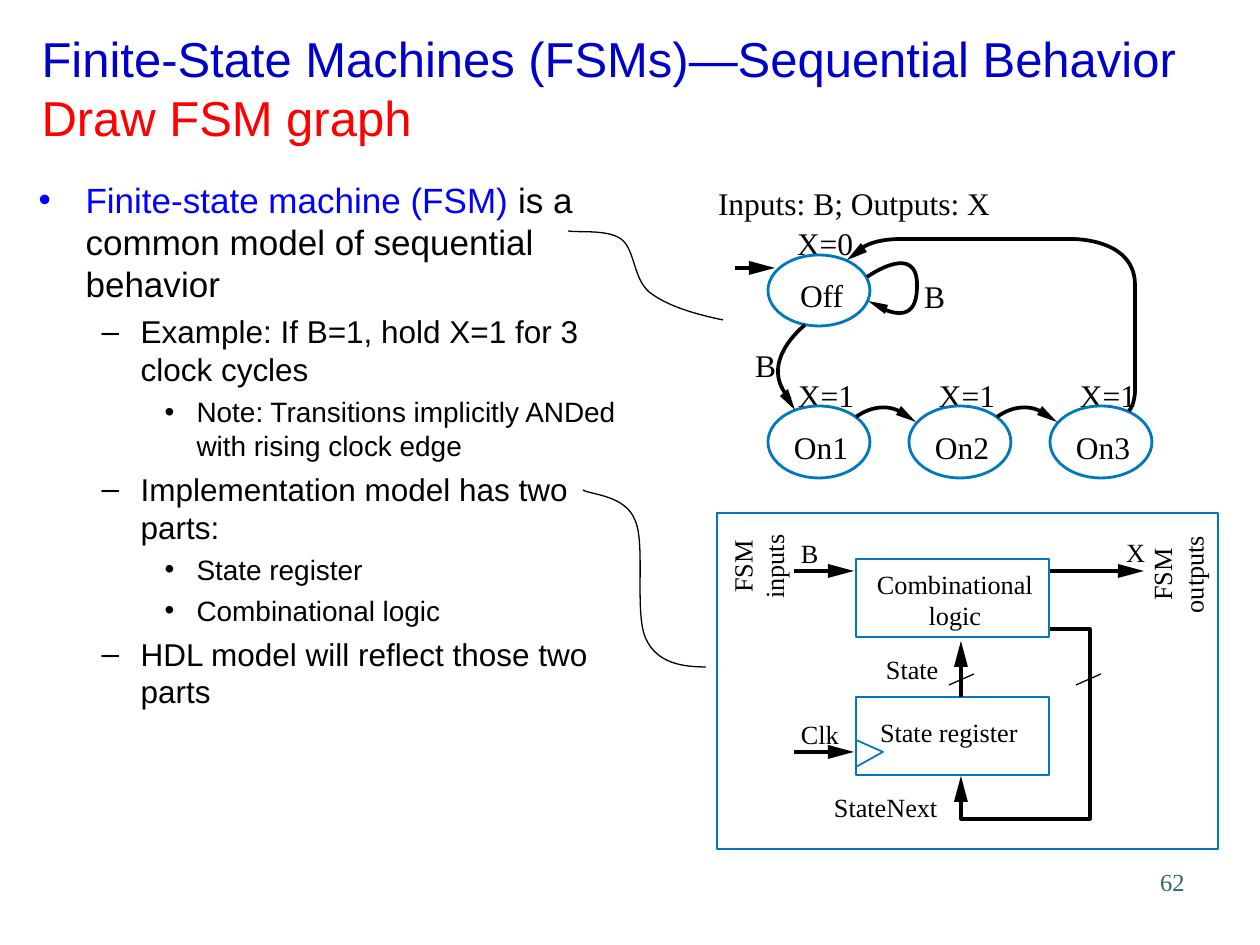
from lxml import etree
from pptx import Presentation
from pptx.dml.color import RGBColor
from pptx.enum.shapes import MSO_CONNECTOR, MSO_SHAPE
from pptx.enum.text import MSO_ANCHOR, MSO_AUTO_SIZE, PP_ALIGN
from pptx.oxml.ns import qn
from pptx.util import Emu, Pt

STRAIGHT = MSO_CONNECTOR.STRAIGHT
ELLIPSE, RECTANGLE = MSO_SHAPE.OVAL, MSO_SHAPE.RECTANGLE
MIDDLE = MSO_ANCHOR.MIDDLE
NO_FIT = MSO_AUTO_SIZE.NONE
LEFT, CENTER, RIGHT = PP_ALIGN.LEFT, PP_ALIGN.CENTER, PP_ALIGN.RIGHT

SCALE = 914400 / 126
COLORS = {"title": "0000CC", "task": "FF0000", "term": "0000FF", "ink": "000000",
          "outline": "0078C1", "number": "336666"}
FONTS = {
    "title": {"name": "Arial", "size": Pt(28)},
    "level0": {"name": "Arial", "size": Pt(20)},
    "level1": {"name": "Arial", "size": Pt(18)},
    "level2": {"name": "Arial", "size": Pt(16)},
    "graph": {"name": "Times New Roman", "size": Pt(18)},
    "circuit": {"name": "Times New Roman", "size": Pt(15)},
    "number": {"name": "Times New Roman", "size": Pt(14)},
}
LEVELS = [("•", 47, 47, 5, "term"), ("–", 102, 39, 4.5, "ink"), ("•", 158, 32, 4, "ink")]
POINTS = [
    (0, [("Finite-state machine (FSM)", "term"),
         (" is a common model of sequential behavior", "ink")]),
    (1, [("Example: If B=1, hold X=1 for 3 clock cycles", "ink")]),
    (2, [("Note: Transitions implicitly ANDed with rising clock edge", "ink")]),
    (1, [("Implementation model has two parts:", "ink")]),
    (2, [("State register", "ink")]),
    (2, [("Combinational logic", "ink")]),
    (1, [("HDL model will reflect those two parts", "ink")]),
]
STATE_STEP = 141
LABEL_SLACK = 10
THIN, WIRE, EDGE = 0.75, 1.87, 2.13


def px(count):
    return Emu(round(count * SCALE))


def rgb(role):
    return RGBColor.from_string(COLORS[role])


def assign(target, values):
    for key, value in values.items():
        setattr(target, key, value)


def style_font(font, kind, color):
    assign(font, FONTS[kind])
    font.color.rgb = rgb(color)


def place(shape, *box):
    assign(shape, dict(zip(("left", "top", "width", "height"), map(px, box))))


def add_run(paragraph, wording, kind, color):
    run = paragraph.add_run()
    run.text = wording
    style_font(run.font, kind, color)


def fill_title(title):
    place(title, 29, 29, 1187, 116)
    assign(title.text_frame, {"vertical_anchor": MIDDLE, "auto_size": NO_FIT})
    heading = title.text_frame.paragraphs[0]
    heading.alignment = LEFT
    add_run(heading, "Finite-State Machines (FSMs)—Sequential Behavior", "title", "title")
    heading.add_line_break()
    add_run(heading, "Draw FSM graph", "title", "task")


def set_bullet(paragraph, symbol, margin, hanging, color):
    props = paragraph._p.get_or_add_pPr()
    props.set("marL", str(px(margin)))
    props.set("indent", str(-px(hanging)))
    tint = etree.SubElement(props, qn("a:buClr"))
    etree.SubElement(tint, qn("a:srgbClr"), val=COLORS[color])
    etree.SubElement(props, qn("a:buFont"), typeface="Arial")
    etree.SubElement(props, qn("a:buChar"), char=symbol)


def fill_body(body):
    place(body, 26, 172, 636, 568)
    frame = body.text_frame
    frame.auto_size = NO_FIT
    for index, (level, runs) in enumerate(POINTS):
        point = frame.add_paragraph() if index else frame.paragraphs[0]
        symbol, margin, hanging, before, color = LEVELS[level]
        point.level = level
        set_bullet(point, symbol, margin, hanging, color)
        point.space_before = Pt(before if index else 0)
        for wording, tint in runs:
            add_run(point, wording, f"level{level}", tint)


def add_label(slide, wording, x, y, width, height, kind, align=LEFT, rotation=0):
    left = x - LABEL_SLACK if align == CENTER else x
    room = width + x - left + LABEL_SLACK
    label = slide.shapes.add_textbox(*map(px, (left, y, room, height)))
    label.rotation = rotation
    frame = label.text_frame
    assign(frame, {"word_wrap": True, "auto_size": NO_FIT, "margin_left": 0,
                   "margin_right": 0, "margin_top": 0, "margin_bottom": 0})
    frame.text = wording
    for paragraph in frame.paragraphs:
        paragraph.alignment = align
        style_font(paragraph.runs[0].font, kind, "ink")


def add_page_number(slide):
    number = slide.shapes.add_textbox(*map(px, (935, 861, 262, 63)))
    number.text_frame.word_wrap = True
    paragraph = number.text_frame.paragraphs[0]
    paragraph.alignment = RIGHT
    add_run(paragraph, "62", "number", "number")


def outline(shape, color, weight):
    shape.shadow.inherit = False
    shape.fill.background()
    shape.line.color.rgb = rgb(color)
    shape.line.width = Pt(weight)


def add_box(slide, preset, x, y, width, height, weight):
    box = slide.shapes.add_shape(preset, *map(px, (x, y, width, height)))
    outline(box, "outline", weight)


def add_line(slide, start, end, weight):
    line = slide.shapes.add_connector(STRAIGHT, *map(px, start + end))
    line.line.color.rgb = rgb("ink")
    line.line.width = Pt(weight)
    etree.SubElement(line._element.spPr, qn("a:effectLst"))


def trace(slide, points, close=False):
    builder = slide.shapes.build_freeform(*points[0], scale=SCALE)
    builder.add_line_segments(points[1:], close=close)
    return builder.convert_to_shape()


def add_polyline(slide, points, color, weight):
    outline(trace(slide, points), color, weight)


def add_head(slide, *corners):
    head = trace(slide, corners, close=True)
    head.shadow.inherit = False
    head.fill.solid()
    head.fill.fore_color.rgb = rgb("ink")
    head.line.fill.background()


def add_curve(slide, points, weight):
    curve = trace(slide, points)
    segments = curve._element.xpath(".//a:lnTo")
    for first in range(0, len(segments), 3):
        bezier = etree.Element(qn("a:cubicBezTo"))
        segments[first].addprevious(bezier)
        for segment in segments[first:first + 3]:
            bezier.append(segment[0])
            segment.getparent().remove(segment)
    outline(curve, "ink", weight)


def add_straight_head(slide, tip, direction):
    (x, y), (dx, dy) = tip, direction
    base_x, base_y = x - 26 * dx, y - 26 * dy
    add_head(slide, tip, (base_x - 7 * dy, base_y - 7 * dx), (base_x + 7 * dy, base_y + 7 * dx))


def add_arrow(slide, tail, tip, weight, direction=(1, 0)):
    shaft_end = (tip[0] - 21 * direction[0], tip[1] - 21 * direction[1])
    add_line(slide, tail, shaft_end, weight)
    add_straight_head(slide, tip, direction)


def draw_state_graph(slide):
    add_label(slide, "Inputs: B; Outputs: X", 718, 184, 272, 38, "graph")
    add_label(slide, "X=0", 797, 224, 57, 38, "graph")
    add_label(slide, "Off", 800, 276, 44, 38, "graph")
    add_box(slide, ELLIPSE, 768, 255, 102, 71, 1.62)
    for index in range(3):
        shift = index * STATE_STEP
        add_label(slide, "X=1", 798 + shift, 376, 57, 38, "graph")
        add_label(slide, f"On{index + 1}", 794 + shift, 428, 54, 38, "graph")
        add_box(slide, ELLIPSE, 768 + shift, 406, 102, 72, 1.62)
    for shift in (0, STATE_STEP):
        add_curve(slide, [(856 + shift, 417), (856 + shift, 417),
                          (882 + shift, 396), (907 + shift, 416)], EDGE)
        add_head(slide, (916 + shift, 422), (901 + shift, 406), (896 + shift, 415))
    add_arrow(slide, (735, 268), (775, 268), EDGE)
    add_curve(slide, [(805, 325), (805, 325), (756, 363), (790, 399)], EDGE)
    add_head(slide, (795, 410), (788, 389), (780, 396))
    add_curve(slide, [(879, 307), (895, 315), (916, 320), (917, 289),
                      (920, 239), (867, 277), (867, 277)], EDGE)
    add_head(slide, (868, 301), (885, 314), (888, 305))
    add_curve(slide, [(862, 248), (869, 243), (882, 239), (902, 239),
                      (1070, 239), (1070, 239), (1070, 239),
                      (1070, 239), (1134, 237), (1135, 284),
                      (1135, 391), (1135, 391), (1135, 391),
                      (1135, 391), (1135, 404), (1129, 411)], EDGE)
    add_head(slide, (847, 260), (867, 252), (861, 243))
    for x, y in ((924, 277), (755, 346)):
        add_label(slide, "B", x, y, 21, 38, "graph")


def draw_circuit(slide):
    add_box(slide, RECTANGLE, 717, 513, 501, 336, 1.39)
    for y in (559, 697):
        add_box(slide, RECTANGLE, 856, y, 193, 78, 1.39)
    add_polyline(slide, [(856, 767), (883, 752), (856, 740)], "outline", 1)
    for tail, tip in (((794, 571), (854, 571)), ((1050, 571), (1144, 571)),
                      ((794, 752), (854, 752))):
        add_arrow(slide, tail, tip, WIRE)
    add_arrow(slide, (961, 697), (961, 641), WIRE, (0, -1))
    add_polyline(slide, [(961, 798), (961, 819), (1090, 819), (1090, 629), (1050, 629)],
                 "ink", WIRE)
    add_straight_head(slide, (961, 776), (0, -1))
    for x in (949, 1076):
        add_line(slide, (x, 685), (x + 25, 674), THIN)
    for wording, x, y, width in (("State register", 880, 716, 137), ("State", 886, 653, 53),
                                 ("X", 1126, 536, 19), ("B", 801, 537, 18),
                                 ("Clk", 801, 718, 38), ("StateNext", 834, 791, 103)):
        add_label(slide, wording, x, y, width, 32, "circuit")
    add_label(slide, "Combinational\nlogic", 877, 568, 156, 63, "circuit", CENTER)
    add_label(slide, "FSM\ninputs", 726, 535, 64, 63, "circuit", CENTER, 270)
    add_label(slide, "FSM\noutputs", 1139, 543, 77, 63, "circuit", CENTER, 270)


def main():
    deck = Presentation()
    assign(deck, {"slide_width": px(1260), "slide_height": px(945)})
    slide = deck.slides.add_slide(deck.slide_layouts[1])
    fill_title(slide.shapes.title)
    fill_body(slide.placeholders[1])
    add_page_number(slide)
    draw_state_graph(slide)
    draw_circuit(slide)
    add_curve(slide, [(583, 490), (591, 495), (625, 495), (635, 520), (646, 544),
                      (634, 614), (646, 639), (657, 663), (682, 667), (706, 667)], THIN)
    add_curve(slide, [(568, 231), (577, 233), (607, 229), (621, 239), (635, 249),
                      (633, 278), (649, 292), (667, 306), (694, 314), (723, 320)], THIN)
    deck.save("out.pptx")


if __name__ == "__main__":
    main()
